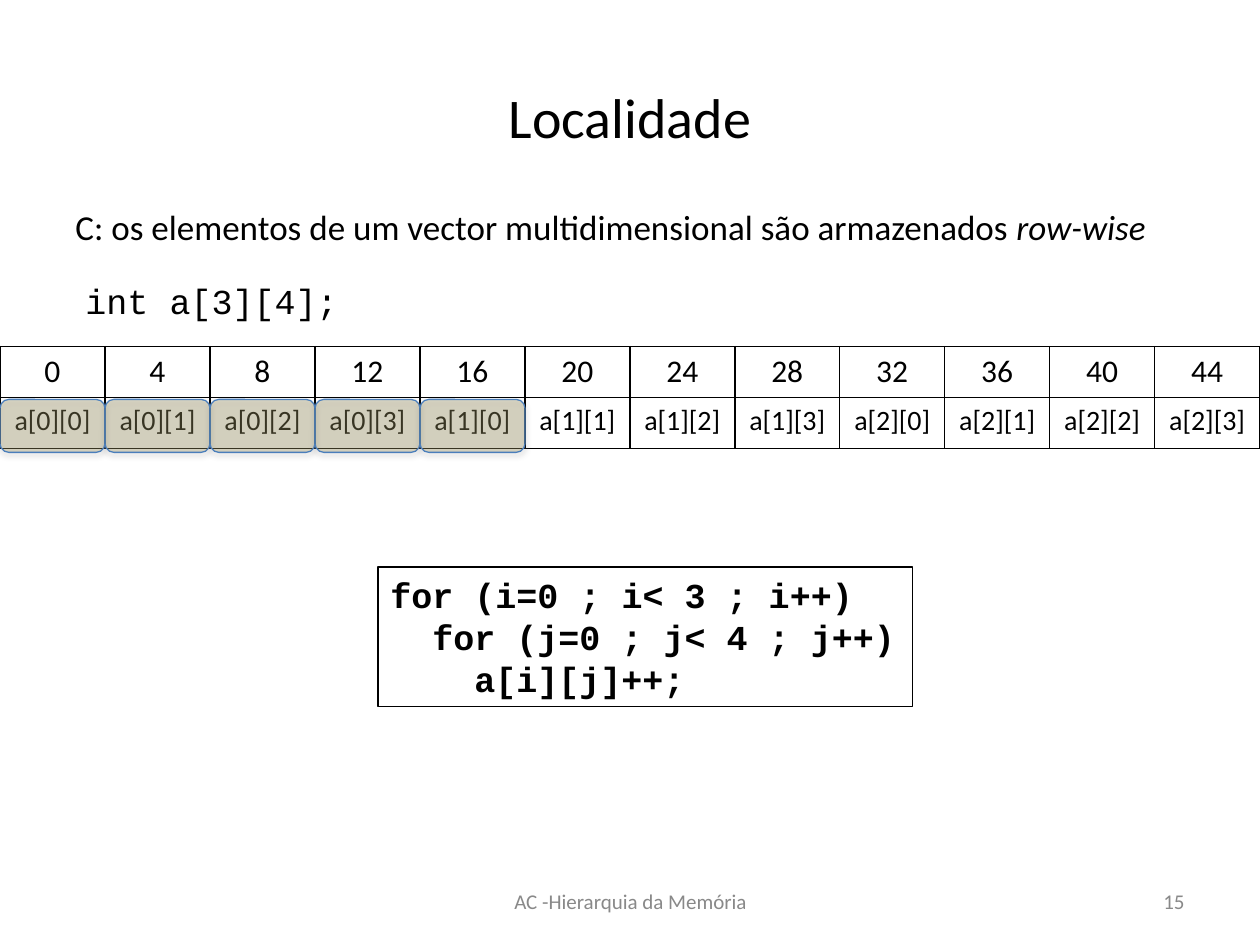
"""Slide on the row-wise memory layout of a two-dimensional C array."""
from lxml.etree import SubElement
from pptx import Presentation
from pptx.dml.color import RGBColor
from pptx.enum.shapes import MSO_SHAPE
from pptx.enum.text import MSO_ANCHOR, PP_ALIGN
from pptx.oxml import parse_xml
from pptx.oxml.ns import nsdecls, qn
from pptx.util import Inches, Pt

BLACK = RGBColor(0x00, 0x00, 0x00)
GRAY = RGBColor(0x89, 0x89, 0x89)
OLIVE = RGBColor(0x94, 0x8A, 0x54)
BLUE = RGBColor(0x4A, 0x7E, 0xBB)

ROWS, COLS, INT_SIZE, CACHED = 3, 4, 4, 5
CELL_W = 10 / (ROWS * COLS)


def style(p, size, name="Calibri", color=BLACK, align=PP_ALIGN.LEFT, bold=False):
    p.alignment = align
    p.font.size = Pt(size)
    p.font.name = name
    p.font.color.rgb = color
    p.font.bold = bold


def add_text(left, top, width, height, text, size, anchor=MSO_ANCHOR.TOP, wrap=True, **kw):
    tf = s.shapes.add_textbox(Inches(left), Inches(top), Inches(width), Inches(height)).text_frame
    tf.word_wrap = wrap
    tf.vertical_anchor = anchor
    p = tf.paragraphs[0]
    p.add_run().text = text
    style(p, size, **kw)
    return p


prs = Presentation()
prs.slide_width, prs.slide_height = Inches(10), Inches(7.5)
s = prs.slides.add_slide(prs.slide_layouts[6])

add_text(0.5, 0.3, 9, 1.25, "Localidade", 32, MSO_ANCHOR.MIDDLE, align=PP_ALIGN.CENTER)
p = add_text(0.5, 1.58, 9, 0.58,
             "C: os elementos de um vector multidimensional são armazenados ", 20)
p.space_before = Pt(4)
r = p.add_run()
r.text = "row-wise"
r.font.italic = True
add_text(3.42, 6.95, 3.17, 0.4, "AC -Hierarquia da Memória", 12, MSO_ANCHOR.MIDDLE,
         color=GRAY, align=PP_ALIGN.CENTER)
add_text(7.17, 6.95, 2.33, 0.4, "15", 12, MSO_ANCHOR.MIDDLE, color=GRAY, align=PP_ALIGN.RIGHT)
add_text(0.58, 2.17, 2.22, 0.44, "int a[3][4];", 20, wrap=False, name="Courier New")

table = s.shapes.add_table(2, ROWS * COLS, Inches(0), Inches(2.75), Inches(10), Inches(0.81)).table
table.first_row = table.horz_banding = False
for row in table.rows:
    row.height = Inches(0.405)
for n in range(ROWS * COLS):
    table.columns[n].width = Inches(CELL_W)
    i, j = divmod(n, COLS)
    for k, (text, size) in enumerate([(str(n * INT_SIZE), 18), (f"a[{i}][{j}]", 16)]):
        cell = table.cell(k, n)
        cell.text = text
        style(cell.text_frame.paragraphs[0], size, align=PP_ALIGN.CENTER)
        tcPr = cell._tc.get_or_add_tcPr()
        for side in ("lnL", "lnR", "lnT", "lnB"):
            tcPr.append(parse_xml(
                f'<a:{side} {nsdecls("a")} w="12700"><a:solidFill>'
                f'<a:srgbClr val="{BLACK}"/></a:solidFill></a:{side}>'))
        cell.fill.background()

sp = s.shapes.add_shape(MSO_SHAPE.RECTANGLE, Inches(3), Inches(4.5), Inches(4.24), Inches(1.11))
sp.shadow.inherit = False
sp.fill.background()
sp.line.color.rgb = BLACK
sp.line.width = Pt(0.75)
tf = sp.text_frame
tf.word_wrap = False
tf.vertical_anchor = MSO_ANCHOR.TOP
code = ["for (i=0 ; i< 3 ; i++)", "for (j=0 ; j< 4 ; j++)", "a[i][j]++;"]
for depth, text in enumerate(code):
    p = tf.paragraphs[0] if depth == 0 else tf.add_paragraph()
    p.text = text
    style(p, 20, "Courier New", bold=True)
    p._p.get_or_add_pPr().set("marL", str(Pt(24 * depth)))

for n in range(CACHED):
    sp = s.shapes.add_shape(MSO_SHAPE.ROUNDED_RECTANGLE, Inches(n * CELL_W), Inches(3.17),
                            Inches(CELL_W), Inches(0.42))
    sp.shadow.inherit = False
    sp.fill.solid()
    sp.fill.fore_color.rgb = OLIVE
    spPr = sp._element.spPr
    SubElement(spPr.find(qn("a:solidFill"))[0], qn("a:alpha"), val="32000")
    sp.line.color.rgb = BLUE
    sp.line.width = Pt(0.75)
    spPr.find(qn("a:effectLst")).append(parse_xml(
        f'<a:outerShdw {nsdecls("a")} blurRad="{Pt(3.1)}" dist="{Pt(1.8)}" dir="5400000" '
        'rotWithShape="0"><a:srgbClr val="808080"><a:alpha val="35000"/></a:srgbClr></a:outerShdw>'))

prs.save("out.pptx")
